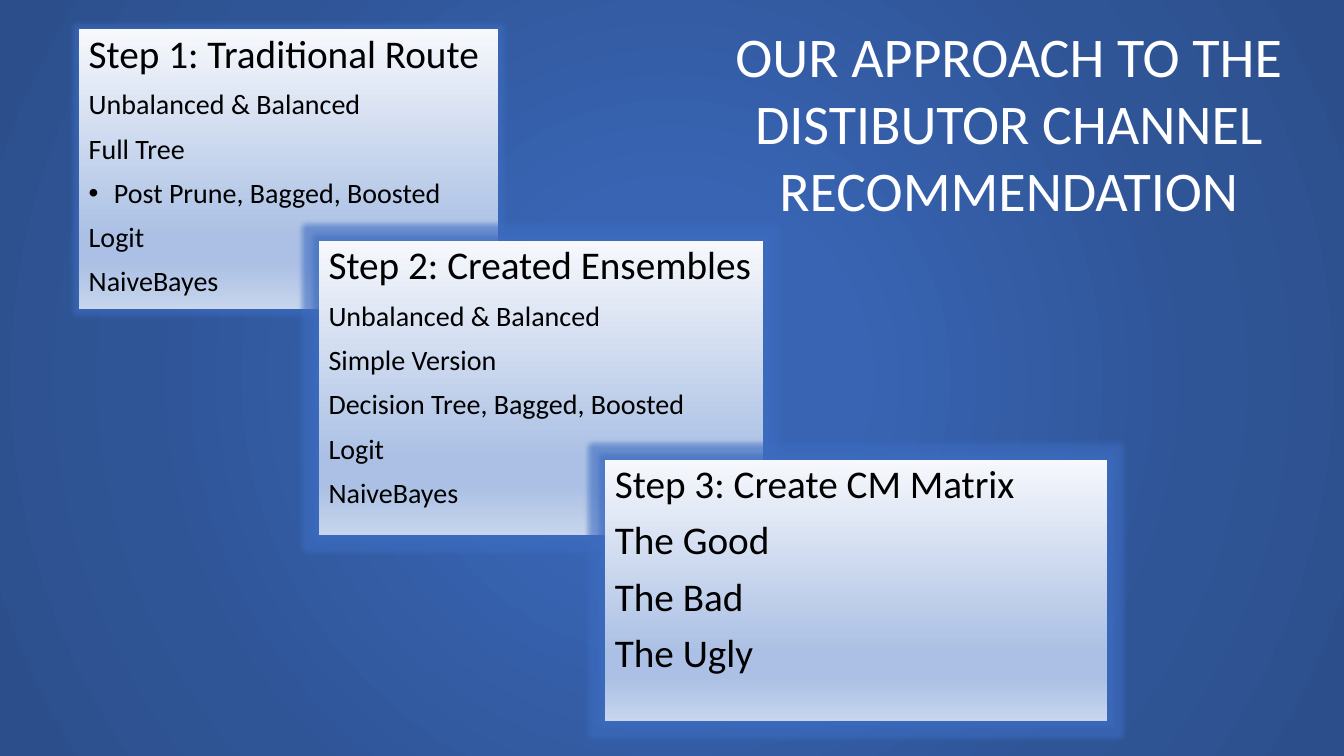
import lxml.etree
import pptx
import pptx.dml.color
import pptx.enum.shapes
import pptx.enum.text
import pptx.oxml
import pptx.oxml.ns
import pptx.util

Inches = pptx.util.Inches
Pt = pptx.util.Pt
qn = pptx.oxml.ns.qn

FONT = "Calibri"
BACKGROUND_STOPS = [(0, "3864B3"), (23, "3864B3"), (69, "2F5597"), (97, "2C4F8C")]
PANEL_STOPS = [(0, "F6F8FC"), (74, "ABC0E4"), (83, "ABC0E4"), (100, "C7D5ED")]
DOWNWARD = '<a:lin ang="5400000" scaled="0"/>'
FROM_CENTRE = (
    '<a:path path="circle"><a:fillToRect l="50000" t="50000" r="50000" b="50000"/></a:path>'
)
BULLETED = {"Post Prune, Bagged, Boosted"}
STEPS = [
    ((0.78, 0.29, 4.16, 2.78), 20, [
        "Step 1: Traditional Route", "Unbalanced & Balanced", "Full Tree",
        "Post Prune, Bagged, Boosted", "Logit", "NaiveBayes"]),
    ((3.16, 2.39, 4.41, 2.92), 20, [
        "Step 2: Created Ensembles", "Unbalanced & Balanced", "Simple Version",
        "Decision Tree, Bagged, Boosted", "Logit", "NaiveBayes"]),
    ((6, 4.56, 4.98, 2.59), 28, [
        "Step 3: Create CM Matrix", "The Good", "The Bad", "The Ugly"]),
]
TITLE_BOX = (6.88, 0.16, 6.25, 2.12)
TITLE_LINES = ["OUR APPROACH TO THE", "DISTIBUTOR CHANNEL", "RECOMMENDATION"]


def color(value):
    """Return the colour for a hex string."""
    return pptx.dml.color.RGBColor.from_string(value)


def apply_gradient(fill, parent, stops, direction):
    """Give the parent element a gradient fill."""
    fill.solid()
    stop_xml = "".join(
        f'<a:gs pos="{position * 1000}"><a:srgbClr val="{color(value)}"/></a:gs>'
        for position, value in stops
    )
    gradient = pptx.oxml.parse_xml(
        f'<a:gradFill {pptx.oxml.ns.nsdecls("a")} rotWithShape="1">'
        f"<a:gsLst>{stop_xml}</a:gsLst>{direction}</a:gradFill>"
    )
    parent.replace(parent.find(qn("a:solidFill")), gradient)


def add_glow(shape, radius, value, opacity):
    """Replace the shadow of a shape with a soft glow."""
    shape.shadow.inherit = False
    effects = shape.element.spPr.find(qn("a:effectLst"))
    glow = lxml.etree.SubElement(effects, qn("a:glow"), rad=str(Pt(radius)))
    glow_color = lxml.etree.SubElement(glow, qn("a:srgbClr"), val=str(color(value)))
    lxml.etree.SubElement(glow_color, qn("a:alpha"), val=str(opacity * 1000))


def place(shape, box):
    """Move a shape to a box given in inches."""
    shape.left, shape.top, shape.width, shape.height = map(Inches, box)


def set_bullet(paragraph, bulleted):
    """Turn the bullet of a paragraph on or off."""
    properties = paragraph._p.get_or_add_pPr()
    indent = Inches(0.25) if bulleted else 0
    properties.set("marL", str(indent))
    properties.set("indent", str(-indent))
    if bulleted:
        lxml.etree.SubElement(properties, qn("a:buFont"), typeface="Arial")
        lxml.etree.SubElement(properties, qn("a:buChar"), char="•")
    else:
        lxml.etree.SubElement(properties, qn("a:buNone"))


def write_lines(shape, lines):
    """Fill a shape with top-anchored lines and return its paragraphs."""
    frame = shape.text_frame
    frame.text = "\n".join(lines)
    frame.word_wrap = True
    frame.auto_size = pptx.enum.text.MSO_AUTO_SIZE.NONE
    frame.vertical_anchor = pptx.enum.text.MSO_ANCHOR.TOP
    return frame.paragraphs


def style_font(paragraph, size, value):
    """Set the font of a paragraph."""
    paragraph.font.name = FONT
    paragraph.font.size = Pt(size)
    paragraph.font.color.rgb = color(value)


def build_step(shape, box, body_size, lines):
    """Format one step panel with its heading and list."""
    place(shape, box)
    apply_gradient(shape.fill, shape.element.spPr, PANEL_STOPS, DOWNWARD)
    shape.line.fill.background()
    add_glow(shape, 8, "3D6CC0", 60)
    for index, paragraph in enumerate(write_lines(shape, lines)):
        set_bullet(paragraph, paragraph.text in BULLETED)
        paragraph.alignment = pptx.enum.text.PP_ALIGN.LEFT
        paragraph.line_spacing = 0.9
        paragraph.space_before = Pt(10 if index else 0)
        style_font(paragraph, body_size if index else 28, "000000")


def build_title(shape, box, lines):
    """Format the centred title."""
    place(shape, box)
    for paragraph in write_lines(shape, lines):
        paragraph.alignment = pptx.enum.text.PP_ALIGN.CENTER
        style_font(paragraph, 40, "FFFFFF")


def build_slide(presentation):
    """Add the slide with its background, title and overlapping steps."""
    slide = presentation.slides.add_slide(presentation.slide_layouts[1])
    fill = slide.background.fill
    fill.solid()
    background = slide.element.find(".//" + qn("p:bgPr"))
    apply_gradient(fill, background, BACKGROUND_STOPS, FROM_CENTRE)
    build_title(slide.shapes.title, TITLE_BOX, TITLE_LINES)
    for index, (box, body_size, lines) in enumerate(STEPS):
        if index:
            rectangle = pptx.enum.shapes.MSO_SHAPE.RECTANGLE
            shape = slide.shapes.add_shape(rectangle, *map(Inches, box))
        else:
            shape = slide.placeholders[1]
        build_step(shape, box, body_size, lines)


def main():
    """Build and save the presentation."""
    presentation = pptx.Presentation()
    presentation.slide_width = Inches(13.33)
    presentation.slide_height = Inches(7.5)
    build_slide(presentation)
    presentation.save("out.pptx")


if __name__ == "__main__":
    main()
